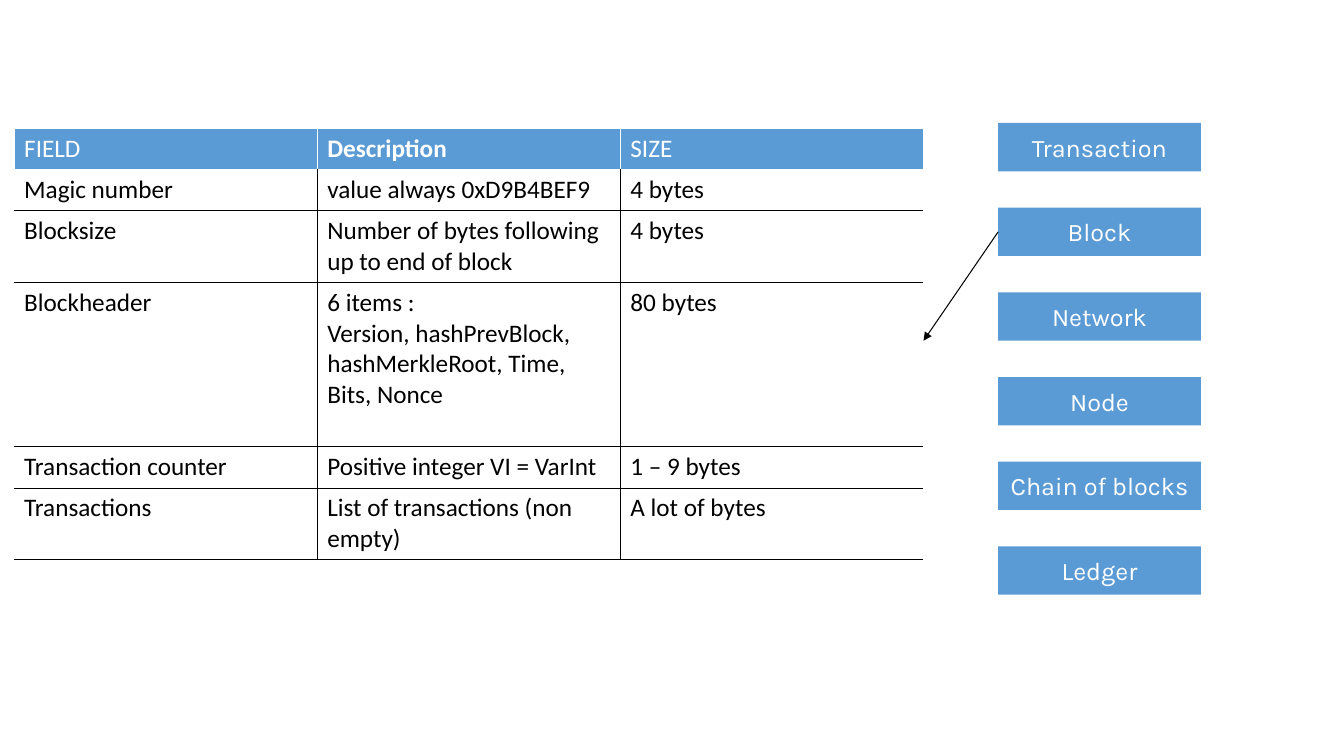
from lxml import etree
from pptx import Presentation
from pptx.dml.color import RGBColor
from pptx.enum.shapes import MSO_CONNECTOR as Connector, MSO_SHAPE as Shape
from pptx.enum.text import MSO_ANCHOR as Anchor, PP_ALIGN as Align
from pptx.oxml.ns import qn
from pptx.util import Inches, Pt

BLUE = RGBColor(0x5B, 0x9B, 0xD5)
WHITE = RGBColor(0xFF, 0xFF, 0xFF)
BLACK = RGBColor(0x00, 0x00, 0x00)

TOPICS = ["Transaction", "Block", "Network", "Node", "Chain of blocks", "Ledger"]
BLOCK_FIELDS = [
    ("FIELD", "Description", "SIZE"),
    ("Magic number", "value always 0xD9B4BEF9", "4 bytes"),
    ("Blocksize", "Number of bytes following up to end of block", "4 bytes"),
    ("Blockheader",
     "6 items :\nVersion, hashPrevBlock, hashMerkleRoot, Time, Bits, Nonce", "80 bytes"),
    ("Transaction counter", "Positive integer VI = VarInt", "1 – 9 bytes"),
    ("Transactions", "List of transactions (non empty)", "A lot of bytes"),
]
ROW_HEIGHTS = [0.41, 0.41, 0.71, 1.63, 0.41, 0.71]


def style_text(frame, font_name, color, bold=False):
    """Give every paragraph of a frame the same 18 point font."""
    for para in frame.paragraphs:
        para.font.name = font_name
        para.font.size = Pt(18)
        para.font.bold = bold
        para.font.color.rgb = color


def set_border(cell, side, color=None, width=0.5):
    """Draw one side (L, R, T or B) of a cell, or clear it without a color."""
    line = etree.SubElement(cell._tc.get_or_add_tcPr(), qn(f"a:ln{side}"), w=str(Pt(width)))
    if color is None:
        etree.SubElement(line, qn("a:noFill"))
    else:
        fill = etree.SubElement(line, qn("a:solidFill"))
        etree.SubElement(fill, qn("a:srgbClr"), val=str(color))


def style_cell(cell, is_header, is_first, is_last, is_top_body):
    """Set the borders, fill and font of one table cell."""
    if is_header:
        for side in "LRT":
            set_border(cell, side, WHITE, 1)
        set_border(cell, "B")
    else:
        set_border(cell, "L", None if is_first else BLACK)
        set_border(cell, "R", None if is_last else BLACK)
        set_border(cell, "T", None if is_top_body else BLACK)
        set_border(cell, "B", BLACK)
    cell.fill.solid()
    cell.fill.fore_color.rgb = BLUE if is_header else WHITE
    bold = is_header and not is_first and not is_last
    style_text(cell.text_frame, "Calibri", WHITE if is_header else BLACK, bold)


def add_field_table(page, left, top, width):
    """Place the table of block fields."""
    columns = len(BLOCK_FIELDS[0])
    frame = page.shapes.add_table(len(BLOCK_FIELDS), columns, Inches(left), Inches(top),
                                  Inches(width), Inches(sum(ROW_HEIGHTS)))
    table = frame.table
    table.first_row = False
    table.horz_banding = False
    for row, (texts, height) in enumerate(zip(BLOCK_FIELDS, ROW_HEIGHTS)):
        table.rows[row].height = Inches(height)
        for column, text in enumerate(texts):
            cell = table.cell(row, column)
            cell.text = text
            style_cell(cell, row == 0, column == 0, column == columns - 1, row == 1)


def add_topics(page, left, top, width, height, pitch):
    """Stack the topic boxes and return them by name."""
    boxes = {}
    for index, topic in enumerate(TOPICS):
        box = page.shapes.add_shape(Shape.RECTANGLE, Inches(left), Inches(top + index * pitch),
                                    Inches(width), Inches(height))
        box.shadow.inherit = False
        box.fill.solid()
        box.fill.fore_color.rgb = BLUE
        box.line.fill.background()
        frame = box.text_frame
        frame.text = topic
        frame.vertical_anchor = Anchor.MIDDLE
        frame.paragraphs[0].alignment = Align.CENTER
        style_text(frame, "Karla", WHITE)
        boxes[topic] = box
    return boxes


def add_arrow(page, box, end_x, end_y):
    """Point an arrow from the left side of a box to a spot."""
    arrow = page.shapes.add_connector(Connector.STRAIGHT, box.left, box.top + box.height // 2,
                                      Inches(end_x), Inches(end_y))
    arrow.begin_connect(box, 1)
    arrow.line.color.rgb = BLACK
    arrow.line.width = Pt(0.75)
    etree.SubElement(arrow.line._get_or_add_ln(), qn("a:tailEnd"), type="triangle")
    etree.SubElement(arrow._element.spPr, qn("a:effectLst"))


def main():
    """Build the block structure slide."""
    deck = Presentation()
    deck.slide_width = Inches(13.33)
    deck.slide_height = Inches(7.5)
    page = deck.slides.add_slide(deck.slide_layouts[6])
    boxes = add_topics(page, 9.9, 1.22, 2.01, 0.48, 0.84)
    add_field_table(page, 0.14, 1.27, 9.02)
    add_arrow(page, boxes["Block"], 9.16, 3.38)
    deck.save("out.pptx")


if __name__ == "__main__":
    main()
